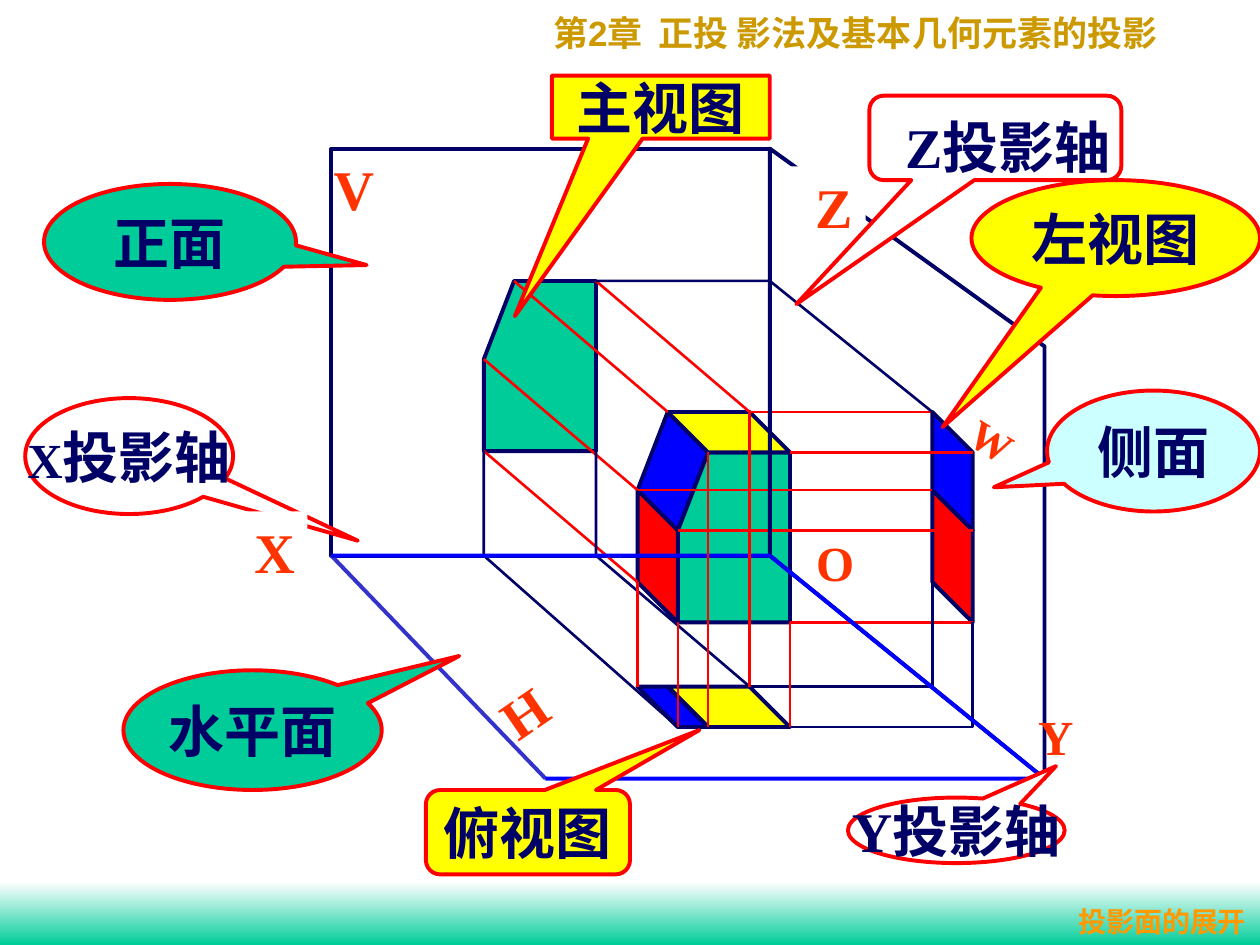
import pptx
import pptx.util
import pptx.dml.color
import pptx.enum.shapes
import pptx.enum.text
import pptx.oxml.ns
import lxml.etree

RGBColor = pptx.dml.color.RGBColor
SHAPE = pptx.enum.shapes.MSO_SHAPE
ALIGN = pptx.enum.text.PP_ALIGN
ANCHOR = pptx.enum.text.MSO_ANCHOR

NAVY = RGBColor(0x00, 0x00, 0x66)
BLUE = RGBColor(0x00, 0x00, 0xFF)
SOFT_BLUE = RGBColor(0x33, 0x33, 0xCC)
GREEN = RGBColor(0x00, 0xCC, 0x99)
YELLOW = RGBColor(0xFF, 0xFF, 0x00)
RED = RGBColor(0xFF, 0x00, 0x00)
CYAN = RGBColor(0xCC, 0xFF, 0xFF)
WHITE = RGBColor(0xFF, 0xFF, 0xFF)
LETTER = RGBColor(0xFF, 0x33, 0x00)
GOLD = RGBColor(0xCC, 0x99, 0x00)
ORANGE = RGBColor(0xFF, 0x99, 0x00)

# The slide is a grid of 100 columns by 75 rows of square cells
COLUMNS, ROWS = 100, 75
CELL = pptx.util.Inches(0.1)
THICK, THIN = 2.25, 1.5

# Outline of the solid (column, row) on its back face
TOP_LEFT, TOP_RIGHT = (53, 32.7), (59.5, 32.7)
BOTTOM_RIGHT, BOTTOM_LEFT = (59.5, 46.2), (50.6, 46.2)
MID_LEFT = (50.6, 38.9)
OUTLINE = [TOP_LEFT, TOP_RIGHT, BOTTOM_RIGHT, BOTTOM_LEFT, MID_LEFT]
BACK, FRONT = 0, 3.2  # oblique offset of each face

# Corners of the projection planes
X_END, ORIGIN, Y_END = (26.3, 44.1), (61.1, 44.1), (82.9, 61.8)
V_CORNER, Z_END = (26.3, 11.8), (61.1, 11.8)
W_CORNER, H_CORNER = (82.9, 27.5), (43.3, 61.8)


def in_space(point, depth):
    return point[0] + depth, point[1] + depth


def on_v(point, depth=BACK):
    return point[0] - 12.2, point[1] - 10.4


def on_h(point, depth):
    return point[0] + depth, 54.5 + depth


def on_w(point, depth):
    return 74 + depth, point[1] + depth


def grid(*cells):
    return [round(cell * CELL) for cell in cells]


def put_text(shape, text, size=32, color=NAVY, align=ALIGN.CENTER,
             anchor=ANCHOR.MIDDLE, wrap=False, inset=1):
    """Text is a string or a list of (string, size, font) runs."""
    frame = shape.text_frame
    frame.word_wrap = wrap
    frame.auto_size = pptx.enum.text.MSO_AUTO_SIZE.NONE
    frame.vertical_anchor = anchor
    frame.margin_left, frame.margin_right = grid(inset, 1)
    frame.margin_top = frame.margin_bottom = grid(0.5)[0]
    paragraph = frame.paragraphs[0]
    paragraph.alignment = align
    runs = [(text, size, "Times New Roman")] if isinstance(text, str) else text
    for words, points, font in runs:
        run = paragraph.add_run()
        run.text = words
        run.font.size = pptx.util.Pt(points)
        run.font.name = font
        run.font.bold = True
        run.font.color.rgb = color


def paint(shape, fill=None, line=None, width=THICK):
    shape.shadow.inherit = False
    if fill is None:
        shape.fill.background()
    else:
        shape.fill.solid()
        shape.fill.fore_color.rgb = fill
    if line is None:
        shape.line.fill.background()
    else:
        shape.line.color.rgb = line
        shape.line.width = pptx.util.Pt(width)


def add_path(slide, points, fill=None, line=NAVY, width=THICK, close=True):
    start, *others = [grid(*point) for point in points]
    builder = slide.shapes.build_freeform(*start)
    builder.add_line_segments(others, close=close)
    paint(builder.convert_to_shape(), fill, line, width)


def add_line(slide, start, end, color=RED, width=THIN):
    line = slide.shapes.add_connector(
        pptx.enum.shapes.MSO_CONNECTOR.STRAIGHT, *grid(*start, *end))
    line.line.color.rgb = color
    line.line.width = pptx.util.Pt(width)
    lxml.etree.SubElement(line._element.spPr, pptx.oxml.ns.qn("a:effectLst"))


def add_callout(slide, kind, box, tail, fill, text=None):
    callout = slide.shapes.add_shape(kind, *grid(*box))
    for index, value in enumerate(tail):
        callout.adjustments[index] = value
    paint(callout, fill, RED)
    if text:
        put_text(callout, text)


def add_label(slide, text, box, fill=None, rotation=0, **text_format):
    label = slide.shapes.add_textbox(*grid(*box))
    label.rotation = rotation
    if fill is not None:
        label.fill.solid()
        label.fill.fore_color.rgb = fill
    put_text(label, text, **text_format)


def add_letter(slide, text, box, **text_format):
    add_label(slide, text, box, color=LETTER, align=ALIGN.LEFT,
              anchor=ANCHOR.TOP, **text_format)


def add_band_and_title(slide):
    band = slide.shapes.add_shape(SHAPE.RECTANGLE, *grid(0, 70, COLUMNS, 5))
    paint(band)
    band.fill.gradient()
    band.fill.gradient_angle = 270
    for stop, color, position in zip(band.fill.gradient_stops, (WHITE, GREEN), (0, 1)):
        stop.color.rgb = color
        stop.position = position
    chapter = slide.shapes.title
    chapter.left, chapter.top, chapter.width, chapter.height = grid(42.9, 0.4, 52.9, 4.4)
    put_text(chapter, [("第", 20, "Times New Roman"), ("2", 20, "Arial"),
                       ("章  正投 影法及基本几何元素的投影", 20, "Times New Roman")],
             color=GOLD, align=ALIGN.LEFT, anchor=ANCHOR.TOP, wrap=True)


def add_face(slide, view, upper, lower, fill):
    """A face of the solid running from its back to its front."""
    add_path(slide, [view(upper, FRONT), view(upper, BACK),
                     view(lower, BACK), view(lower, FRONT)], fill)


def add_projection(slide):
    # Solid and front view
    add_face(slide, in_space, TOP_LEFT, MID_LEFT, BLUE)
    add_path(slide, [in_space(point, FRONT) for point in OUTLINE], GREEN)
    add_face(slide, in_space, TOP_RIGHT, TOP_LEFT, YELLOW)
    add_face(slide, in_space, MID_LEFT, BOTTOM_LEFT, RED)
    add_path(slide, [on_v(point) for point in OUTLINE], GREEN)
    add_path(slide, [V_CORNER, Z_END, ORIGIN, X_END])

    # Projectors to V, then top and side views
    for point in (MID_LEFT, TOP_LEFT, TOP_RIGHT, BOTTOM_LEFT):
        add_line(slide, in_space(point, BACK), on_v(point))
    add_face(slide, on_h, TOP_RIGHT, TOP_LEFT, YELLOW)
    add_face(slide, on_h, TOP_LEFT, MID_LEFT, BLUE)
    add_face(slide, on_w, MID_LEFT, BOTTOM_LEFT, RED)
    add_face(slide, on_w, TOP_LEFT, MID_LEFT, BLUE)
    for point, depth in ((BOTTOM_RIGHT, FRONT), (MID_LEFT, BACK), (TOP_RIGHT, BACK),
                         (MID_LEFT, FRONT), (TOP_RIGHT, FRONT)):
        add_line(slide, in_space(point, depth), on_w(point, depth))

    # Lines linking the three views across the axes
    for corner, depth in ((BOTTOM_LEFT, FRONT), (BOTTOM_RIGHT, BACK)):
        foot = on_v(corner)
        add_path(slide, [foot, (foot[0], ORIGIN[1]), on_h(corner, depth)],
                 width=THIN, close=False)
    add_path(slide, [on_v(TOP_RIGHT), (ORIGIN[0], on_v(TOP_RIGHT)[1]),
                     on_w(TOP_RIGHT, BACK)], width=THIN, close=False)
    for depth in (BACK, FRONT):
        side, top = on_w(BOTTOM_LEFT, depth), on_h(BOTTOM_RIGHT, depth)
        add_path(slide, [side, (side[0], top[1]), top], width=THIN, close=False)

    # W and H planes, then projectors to H
    add_path(slide, [ORIGIN, Y_END, W_CORNER, Z_END])
    add_line(slide, H_CORNER, X_END, SOFT_BLUE, THICK)
    add_path(slide, [X_END, ORIGIN, Y_END, H_CORNER], line=BLUE, close=False)
    for point, depth in ((BOTTOM_RIGHT, FRONT), (TOP_RIGHT, BACK), (BOTTOM_LEFT, BACK),
                         (BOTTOM_LEFT, FRONT), (TOP_LEFT, FRONT)):
        add_line(slide, in_space(point, depth), on_h(point, depth))


def add_names(slide):
    oval, box, rounded = (SHAPE.OVAL_CALLOUT, SHAPE.RECTANGULAR_CALLOUT,
                          SHAPE.ROUNDED_RECTANGULAR_CALLOUT)
    add_letter(slide, "O", (63.8, 41.8, 5, 5.7), size=28)
    add_callout(slide, oval, (3.5, 14.6, 20, 9.2), (0.78, 0.2), GREEN, "正面")
    add_letter(slide, "V", (25.5, 11.8, 5.2, 6.4))
    add_callout(slide, box, (43.8, 6, 17.3, 5), (-0.67, 3.32), YELLOW, "主视图")
    add_callout(slide, oval, (77.1, 14.3, 22.9, 9.2), (-0.6, 1.63), YELLOW, "左视图")
    add_callout(slide, oval, (67.3, 63.3, 17.2, 5.2), (0.46, -0.98), WHITE, "Y投影轴")
    add_letter(slide, "Y", (81.4, 55.6, 4.8, 5.7), size=28)
    add_letter(slide, "Z", (62.6, 13.2, 6.1, 6.4), fill=WHITE, inset=2.1)
    add_callout(slide, rounded, (69, 7.6, 20, 6.7), (-0.79, 1.97, 0.17), WHITE)
    add_label(slide, "Z投影轴", (70.3, 8.4, 19.4, 6.4))
    add_callout(slide, oval, (83.1, 31, 16.9, 9.6), (-0.75, 0.3), CYAN, "侧面")
    add_letter(slide, "W", (76.1, 32.4, 5.3, 5), size=24, rotation=31.2)
    add_callout(slide, oval, (2, 31.6, 16.5, 9.2), (1.1, 0.73), WHITE,
                [("X", 28, "Times New Roman"), ("投影轴", 32, "Times New Roman")])
    add_letter(slide, "X", (19.2, 40.6, 5.2, 6.4), fill=WHITE)
    add_callout(slide, oval, (9.8, 53.2, 20.5, 9.5), (0.8, -0.62), GREEN, "水平面")
    add_label(slide, "H", (38.9, 53.3, 5.4, 6.4), rotation=325.3, color=LETTER)
    add_callout(slide, rounded, (33.8, 62.7, 16.2, 6.7), (0.84, -1.21, 0.17),
                YELLOW, "俯视图")
    add_label(slide, "投影面的展开", (84.6, 71.3, 15.3, 3.7), size=16, color=ORANGE,
              anchor=ANCHOR.TOP)


def main():
    deck = pptx.Presentation()
    deck.slide_width, deck.slide_height = grid(COLUMNS, ROWS)
    slide = deck.slides.add_slide(deck.slide_layouts[5])
    add_band_and_title(slide)
    add_projection(slide)
    add_names(slide)
    deck.save("out.pptx")


if __name__ == "__main__":
    main()
